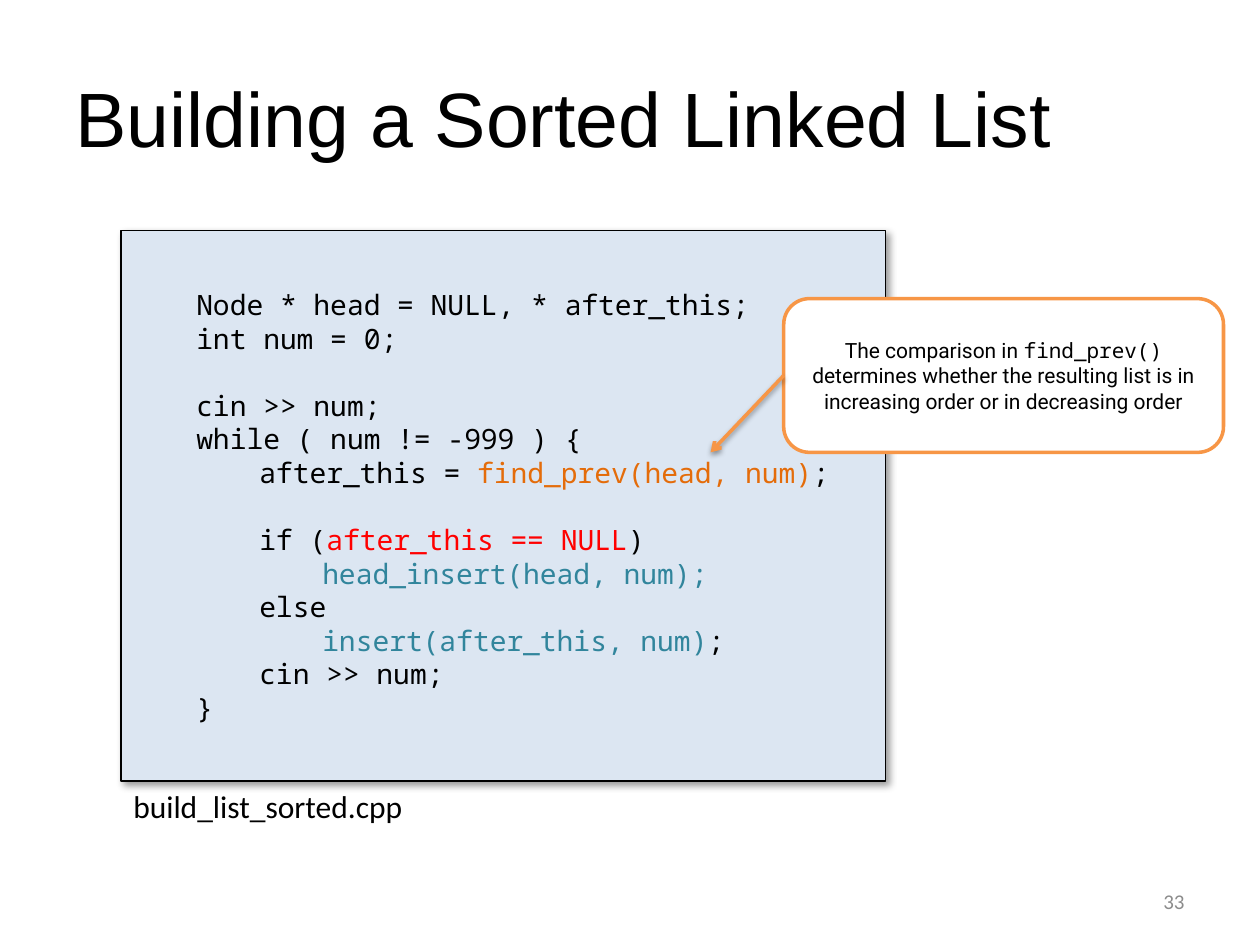
from dataclasses import dataclass

from lxml.etree import SubElement
from pptx import Presentation
from pptx.dml.color import RGBColor
from pptx.enum.shapes import MSO_CONNECTOR, MSO_SHAPE
from pptx.enum.text import MSO_ANCHOR, MSO_AUTO_SIZE, PP_ALIGN
from pptx.oxml.ns import qn
from pptx.util import Emu, Inches, Pt

COLORS = {
    "text": "000000",
    "panel": "DCE6F2",
    "white": "FFFFFF",
    "accent": "F79646",
    "search": "E46C0A",
    "test": "FF0000",
    "insert": "31859C",
    "number": "8C8C8C",
}
MONO = "Noto Sans Mono"
INDENT = 0.5
BLANK_LINE = Pt(19.2)


@dataclass(frozen=True)
class Span:
    text: str
    color: str = "text"
    font: str = MONO


@dataclass(frozen=True)
class CodeLine:
    level: int
    spans: tuple[Span, ...]
    gap_before: bool = False


@dataclass(frozen=True)
class Shadow:
    opacity: int
    blur: float
    distance: float
    angle: int


CODE = (
    CodeLine(1, (Span("Node * head = NULL, * after_this;"),)),
    CodeLine(1, (Span("int num = 0;"),)),
    CodeLine(1, (Span("cin >> num;"),), gap_before=True),
    CodeLine(1, (Span("while ( num != -999 ) {"),)),
    CodeLine(2, (Span("after_this = "), Span("find_prev(head, num)", "search"), Span(";"))),
    CodeLine(2, (Span("if ("), Span("after_this == NULL", "test"), Span(")")), gap_before=True),
    CodeLine(3, (Span("head_insert(head, num);", "insert"),)),
    CodeLine(2, (Span("else"),)),
    CodeLine(3, (Span("insert(after_this, num)", "insert"), Span(";"))),
    CodeLine(2, (Span("cin >> num;"),)),
    CodeLine(1, (Span("}"),)),
)
COMMENT = (
    Span("The comparison in ", font="Roboto"),
    Span("find_prev()"),
    Span(" determines whether the resulting list is in increasing order"
         " or in decreasing order", font="Roboto"),
)


def rgb(name: str) -> RGBColor:
    return RGBColor.from_string(COLORS[name])


def format_run(run, size: float, color: str, font: str) -> None:
    run.font.size = Pt(size)
    run.font.name = font
    run.font.color.rgb = rgb(color)


def add_spans(paragraph, spans: tuple[Span, ...], size: float) -> None:
    for span in spans:
        run = paragraph.add_run()
        run.text = span.text
        format_run(run, size, span.color, span.font)


def set_line(shape, color: str, width: float) -> None:
    shape.line.color.rgb = rgb(color)
    shape.line.width = Pt(width)


def add_box(slide, kind, box: tuple, fill: str, line: str, width: float):
    shape = slide.shapes.add_shape(kind, *map(Inches, box))
    shape.fill.solid()
    shape.fill.fore_color.rgb = rgb(fill)
    set_line(shape, line, width)
    shape.text_frame.word_wrap = True
    shape.text_frame.vertical_anchor = MSO_ANCHOR.MIDDLE
    return shape


def add_shadow(shape, shadow: Shadow) -> None:
    effects = SubElement(shape.element.spPr, qn("a:effectLst"))
    outer = SubElement(
        effects, qn("a:outerShdw"),
        blurRad=str(Pt(shadow.blur)), dist=str(Pt(shadow.distance)),
        dir=str(shadow.angle * 60000), algn="tl", rotWithShape="0")
    color = SubElement(outer, qn("a:srgbClr"), val=COLORS["text"])
    SubElement(color, qn("a:alpha"), val=str(shadow.opacity * 1000))


def add_label(slide, box: tuple, text: str, size: float, color: str):
    label = slide.shapes.add_textbox(*map(Inches, box))
    label.text_frame.text = text
    format_run(label.text_frame.paragraphs[0].runs[0], size, color, "Calibri")
    return label.text_frame


def add_code(frame, lines: tuple[CodeLine, ...]) -> None:
    for index, line in enumerate(lines):
        paragraph = frame.add_paragraph() if index else frame.paragraphs[0]
        paragraph.alignment = PP_ALIGN.LEFT
        properties = paragraph._p.get_or_add_pPr()
        properties.set("marL", str(Emu(Inches(INDENT * line.level))))
        properties.set("indent", "0")
        if line.gap_before:
            paragraph.space_before = BLANK_LINE
        add_spans(paragraph, line.spans, 16)


def main() -> None:
    presentation = Presentation()
    presentation.slide_width = Inches(10)
    presentation.slide_height = Inches(7.5)
    slide = presentation.slides.add_slide(presentation.slide_layouts[5])

    # Title
    title = slide.shapes.title
    title.left, title.top, title.width, title.height = map(Inches, (0.5, 0.3, 9, 1.25))
    title.text_frame.text = "Building a Sorted Linked List"
    title.text_frame.vertical_anchor = MSO_ANCHOR.MIDDLE
    heading = title.text_frame.paragraphs[0]
    heading.alignment = PP_ALIGN.LEFT
    format_run(heading.runs[0], 44, "text", "Arial")

    # Code panel
    panel = add_box(slide, MSO_SHAPE.RECTANGLE, (0.96, 1.83, 6.07, 4.37),
                    "panel", "text", 0.75)
    add_shadow(panel, Shadow(opacity=40, blur=4, distance=3, angle=45))
    add_code(panel.text_frame, CODE)

    # Callout on the comparison
    callout = add_box(slide, MSO_SHAPE.ROUNDED_RECTANGLE, (6.22, 2.37, 3.49, 1.22),
                      "white", "accent", 2)
    callout.shadow.inherit = False
    comment = callout.text_frame.paragraphs[0]
    comment.alignment = PP_ALIGN.CENTER
    add_spans(comment, COMMENT, 12)

    # Arrow from the callout to the call
    pointer = slide.shapes.add_connector(
        MSO_CONNECTOR.STRAIGHT, *map(Inches, (6.22, 2.98, 5.64, 3.59)))
    pointer.begin_connect(callout, 1)
    set_line(pointer, "accent", 2)
    SubElement(pointer.line._get_or_add_ln(), qn("a:tailEnd"), type="arrow")
    add_shadow(pointer, Shadow(opacity=38, blur=3.1, distance=1.6, angle=90))

    # Slide number and file name
    number = add_label(slide, (7.17, 6.95, 2.33, 0.4), "33", 12, "number")
    number.word_wrap = True
    number.vertical_anchor = MSO_ANCHOR.MIDDLE
    number.paragraphs[0].alignment = PP_ALIGN.RIGHT
    file_name = add_label(slide, (0.96, 6.2, 2.36, 0.4), "build_list_sorted.cpp", 18, "text")
    file_name.word_wrap = False
    file_name.auto_size = MSO_AUTO_SIZE.SHAPE_TO_FIT_TEXT

    presentation.save("out.pptx")


if __name__ == "__main__":
    main()
